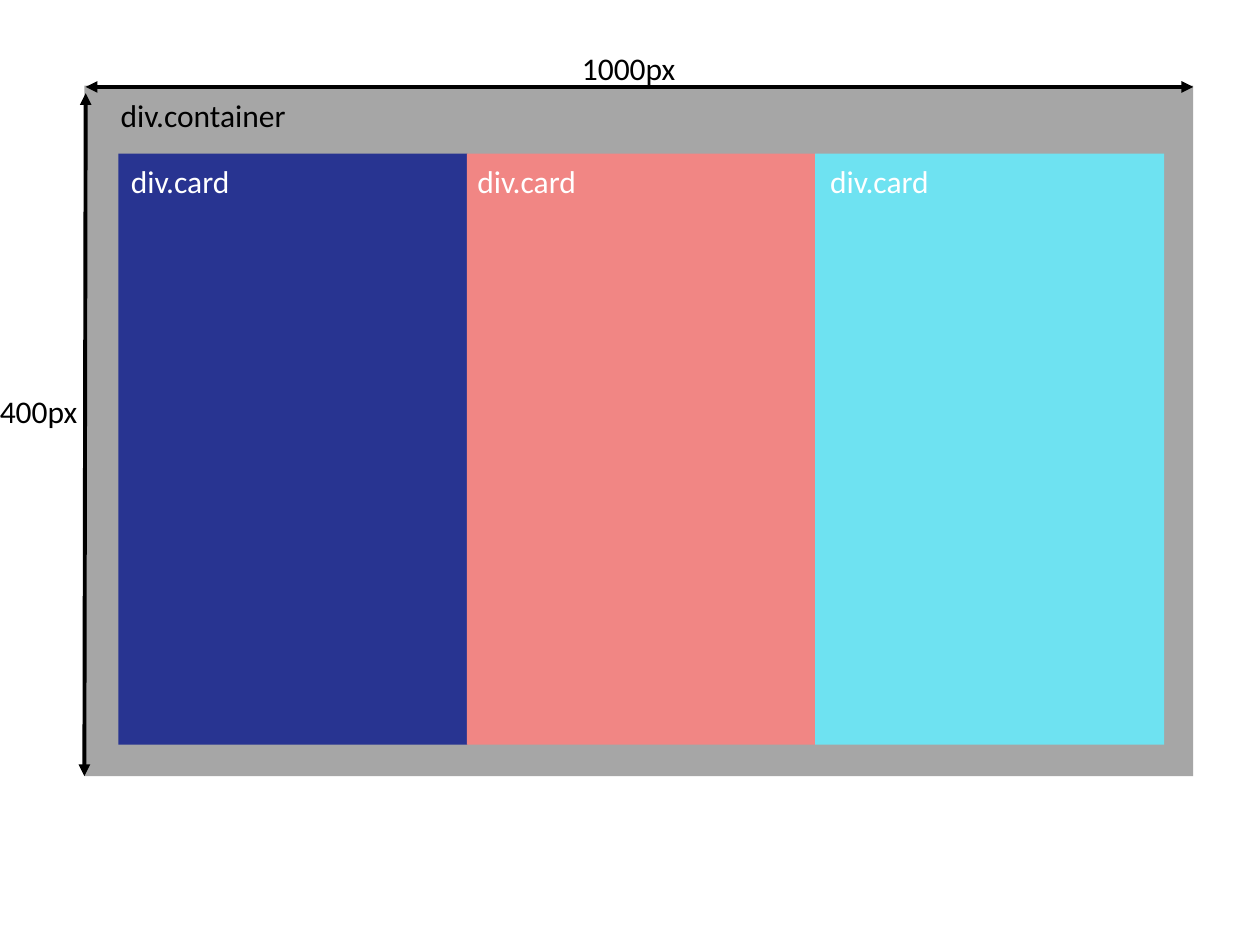
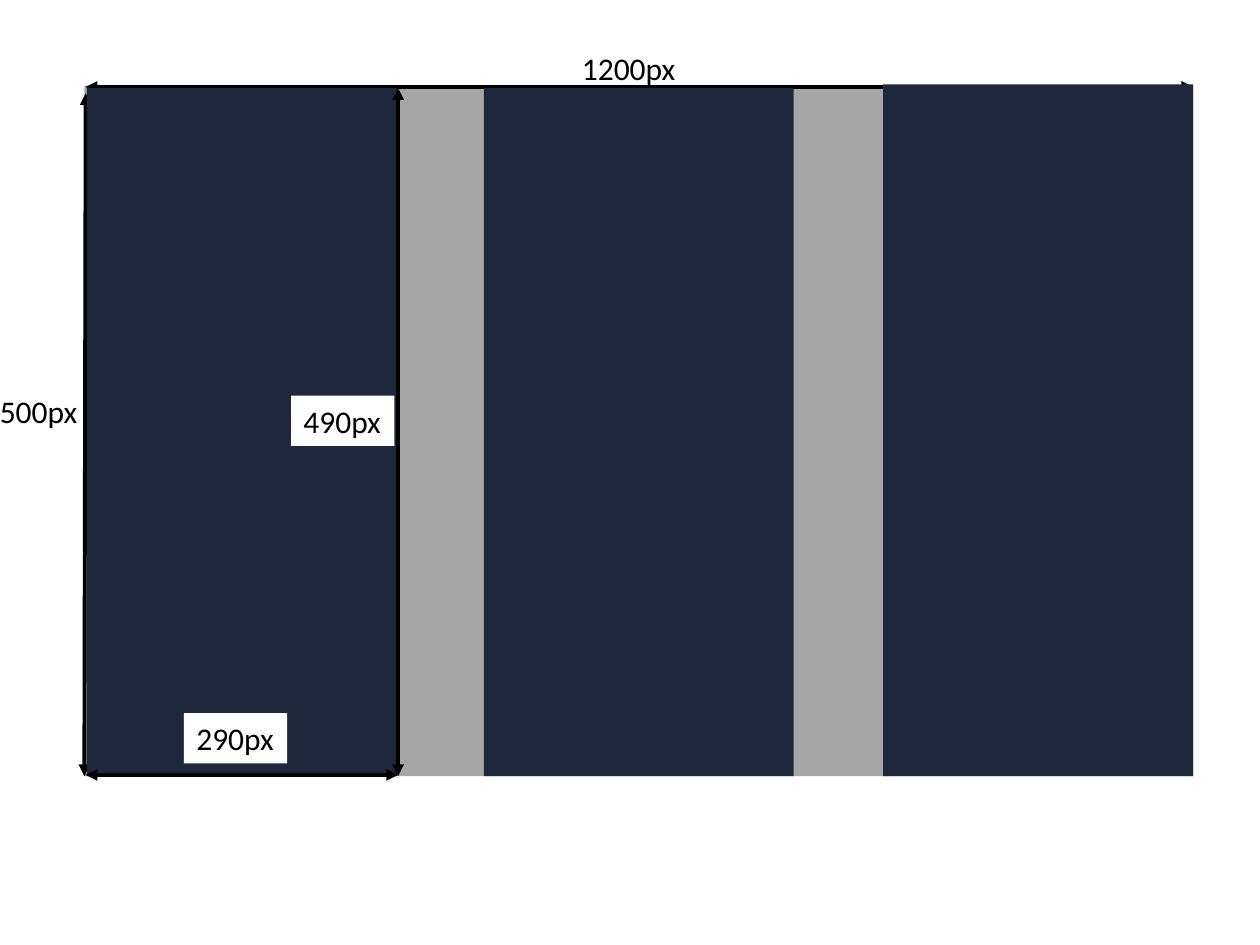
from dataclasses import dataclass
from lxml.etree import SubElement
from pptx import Presentation
from pptx.dml.color import RGBColor
from pptx.enum.shapes import MSO_CONNECTOR, MSO_SHAPE
from pptx.oxml.ns import qn
from pptx.util import Inches, Pt


@dataclass(frozen=True)
class Theme:
    font: str = "Calibri"
    size: int = 18
    line: float = 2.25
    black: str = "000000"
    white: str = "FFFFFF"
    grey: str = "A6A6A6"
    navy: str = "1F283B"
    cards: tuple = ("283491", "F18684", "6EE2F1")


theme = Theme()


def box(slide, at, fill=None, text=None, color=theme.black):
    """Add a label if there is text, else a plain filled rectangle."""
    place = [Inches(n) for n in at]
    if text:
        shape = slide.shapes.add_textbox(*place)
        frame = shape.text_frame
        frame.word_wrap = False
        frame.text = text
        font = frame.paragraphs[0].font
        font.name, font.size = theme.font, Pt(theme.size)
        font.color.rgb = RGBColor.from_string(color)
    else:
        shape = slide.shapes.add_shape(MSO_SHAPE.RECTANGLE, *place)
        shape.shadow.inherit = False
        shape.line.fill.background()
    if fill:
        shape.fill.solid()
        shape.fill.fore_color.rgb = RGBColor.from_string(fill)


def arrow(slide, *ends):
    """Add a double-headed line from x1, y1 to x2, y2."""
    link = slide.shapes.add_connector(
        MSO_CONNECTOR.STRAIGHT, *[Inches(n) for n in ends])
    link.line.color.rgb = RGBColor.from_string(theme.black)
    link.line.width = Pt(theme.line)
    props = link._element.spPr
    line = props.find(qn("a:ln"))
    for tip in ("a:headEnd", "a:tailEnd"):
        SubElement(line, qn(tip), type="triangle")
    SubElement(props, qn("a:effectLst"))


deck = Presentation()
deck.slide_width, deck.slide_height = Inches(10), Inches(7.5)

# Both slides: grey container with its width and height marked
slides = []
for width, height in (("1000px", "400px"), ("1200px", "500px")):
    slide = deck.slides.add_slide(deck.slide_layouts[6])
    box(slide, (0.67, 0.68, 8.8, 5.48), theme.grey)
    arrow(slide, 0.68, 0.69, 9.47, 0.69)
    arrow(slide, 0.68, 0.74, 0.67, 6.16)
    box(slide, (4.52, 0.34, 0.95, 0.4), text=width)
    box(slide, (-0.1, 3.06, 0.83, 0.4), text=height)
    slides.append(slide)
first, second = slides

# Slide 1: three touching cards inside the container
box(first, (0.86, 0.71, 1.53, 0.4), text="div.container")
for i, (fill, left) in enumerate(zip(theme.cards, (0.94, 3.69, 6.49))):
    box(first, (0.94 + i * 2.765, 1.22, 2.77, 4.69), fill)
    box(first, (left, 1.24, 0.99, 0.4), text="div.card", color=theme.white)

# Slide 2: three spaced cards, the first one measured
for left, top in ((0.69, 0.7), (3.84, 0.7), (7.01, 0.67)):
    box(second, (left, top, 2.46, 6.16 - top), theme.navy)
arrow(second, 0.68, 6.15, 3.16, 6.15)
box(second, (1.46, 5.66, 0.82, 0.4), theme.white, "290px")
arrow(second, 3.16, 0.7, 3.16, 6.16)
box(second, (2.31, 3.14, 0.82, 0.4), theme.white, "490px")

deck.save("out.pptx")
